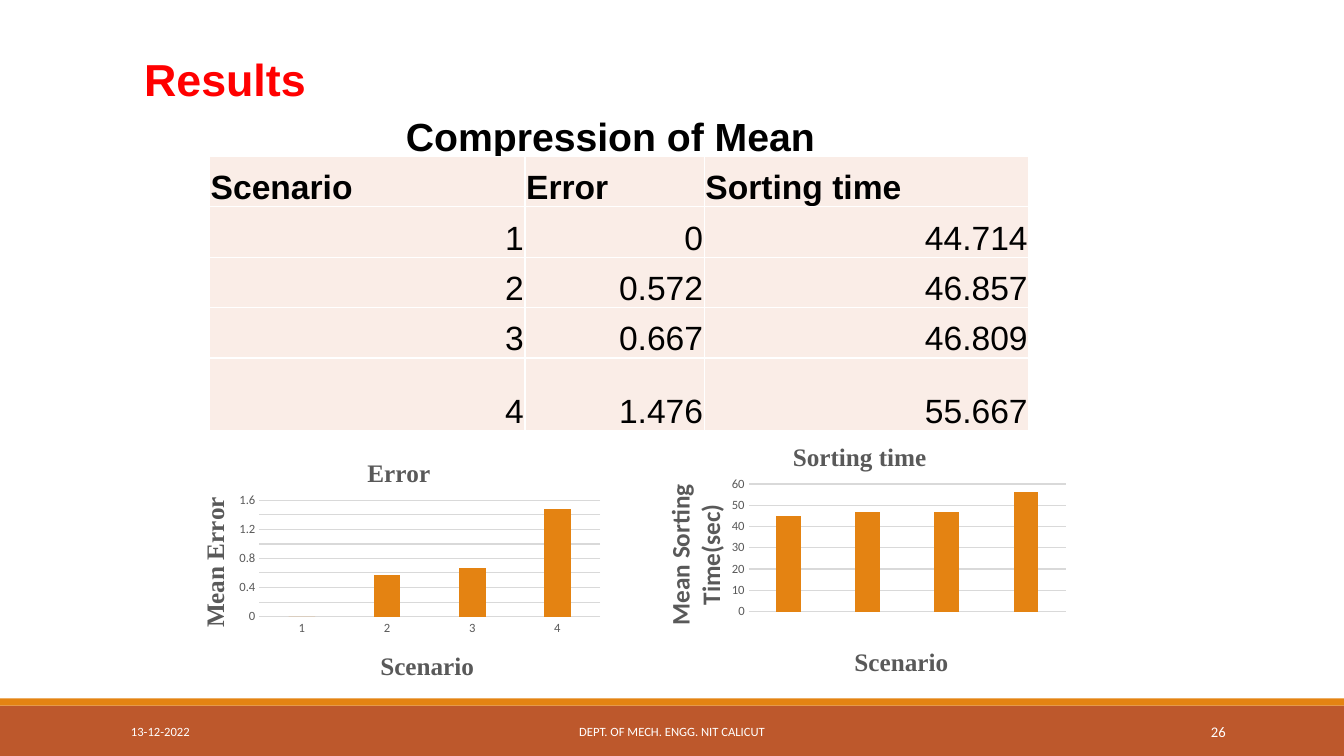
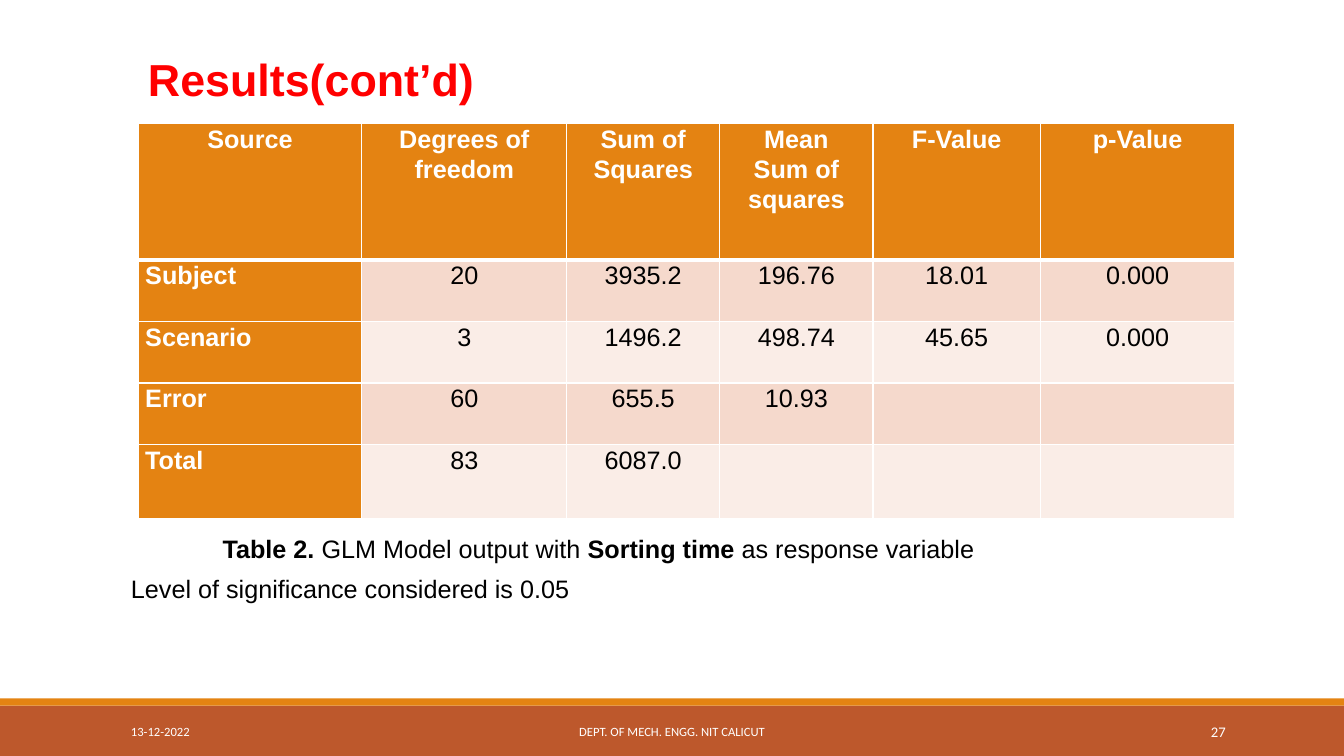
from dataclasses import dataclass
from typing import Any, NamedTuple, Optional

from lxml import etree
from pptx import Presentation
from pptx import util as u
from pptx.chart import data as cd
from pptx.dml import color as col
from pptx.enum import chart as ce
from pptx.enum import shapes, text
from pptx.oxml import ns

# Shared look
ORANGE, RUST = "E48312", "BD582C"
PALE, PEACH = "FAEDE7", "F5D9CC"
WHITE, BLACK, RED = "FFFFFF", "000000", "FF0000"
GREY, GRID = "595959", "D9D9D9"
ARIAL, CALIBRI, TIMES = "Arial", "Calibri", "Times New Roman"
WIDTH, HEIGHT = 33.87, 19.05
LEFT, CENTER, RIGHT, JUSTIFY = (text.PP_ALIGN.LEFT, text.PP_ALIGN.CENTER,
                                text.PP_ALIGN.RIGHT, text.PP_ALIGN.JUSTIFY)
TOP, MIDDLE, BOTTOM = (text.MSO_ANCHOR.TOP, text.MSO_ANCHOR.MIDDLE,
                       text.MSO_ANCHOR.BOTTOM)


class Box(NamedTuple):
    """Left, top, width and height in centimetres."""
    x: float
    y: float
    w: float
    h: float

    def cm(self) -> list:
        return [u.Cm(v) for v in self]


class Spot(NamedTuple):
    """Position (and size) as fractions of a chart."""
    x: float
    y: float
    w: Optional[float] = None
    h: Optional[float] = None


@dataclass
class Label:
    words: str
    spot: Spot
    font: str = TIMES


@dataclass
class BarChart:
    box: Box
    plot: Spot
    title: Label
    value_title: Label
    category_title: Label
    values: list[float]
    top: float
    step: float
    overlap: int = 0
    category_labels: bool = True


@dataclass
class Footer:
    box: Box
    words: str
    align: Any = LEFT
    size: float = 9


def rgb(code: str) -> col.RGBColor:
    return col.RGBColor.from_string(code)


# Text
def write(p, words: str, *, size: float = 18, font: str = ARIAL,
          color: str = BLACK, bold: bool = False, align=None) -> None:
    """Append words to a paragraph; a newline becomes a line break."""
    if align is not None:
        p.alignment = align
    for i, line in enumerate(words.split("\n")):
        if i:
            p.add_line_break()
        r = p.add_run()
        r.text = line
        r.font.size, r.font.name, r.font.bold = u.Pt(size), font, bold
        r.font.color.rgb = rgb(color)


def add_box(s, box: Box, anchor=TOP, wrap: bool = True):
    tf = s.shapes.add_textbox(*box.cm()).text_frame
    tf.word_wrap, tf.vertical_anchor = wrap, anchor
    return tf


def add_title(s, words: str, box: Box):
    tf = add_box(s, box)
    write(tf.paragraphs[0], words, size=32, color=RED, bold=True)
    return tf


# Slide base: bands and footers
def add_slide(prs, number: int):
    s = prs.slides.add_slide(prs.slide_layouts[6])
    for y, h, color in ((17.78, 1.27, RUST), (17.6, 0.18, ORANGE)):
        sp = s.shapes.add_shape(shapes.MSO_SHAPE.RECTANGLE,
                                *Box(0, y, WIDTH, h).cm())
        sp.shadow.inherit = False
        sp.fill.solid()
        sp.fill.fore_color.rgb = rgb(color)
        sp.line.fill.background()
    footers = (
        Footer(Box(3.05, 17.93, 6.86, 1.02), "13-12-2022"),
        Footer(Box(10.24, 17.93, 13.39, 1.02),
               "DEPT. OF MECH. ENGG. NIT CALICUT", CENTER),
        Footer(Box(27.51, 17.93, 3.63, 1.02), str(number), RIGHT, 10.5),
    )
    for f in footers:
        tf = add_box(s, f.box, MIDDLE)
        write(tf.paragraphs[0], f.words, size=f.size, font=CALIBRI,
              color=WHITE, align=f.align)
    return s


# Tables
def add_grid(s, x: float, y: float, cols: list[float], rows: list[float]):
    box = Box(x, y, sum(cols), sum(rows))
    tbl = s.shapes.add_table(len(rows), len(cols), *box.cm()).table
    tbl.first_row = tbl.horz_banding = False
    for column, w in zip(tbl.columns, cols):
        column.width = u.Cm(w)
    for row, h in zip(tbl.rows, rows):
        row.height = u.Cm(h)
    return tbl


def style_cell(cell, fill: str, anchor, side: float, top: float,
               above: float = 1, below: float = 1) -> None:
    """Set fill, margins and white borders; above and below are in points."""
    cell.vertical_anchor = anchor
    cell.margin_left = cell.margin_right = u.Cm(side)
    cell.margin_top, cell.margin_bottom = u.Cm(top), 0
    cell.fill.solid()
    cell.fill.fore_color.rgb = rgb(fill)
    pr = cell._tc.get_or_add_tcPr()
    edges = (("a:lnL", 1), ("a:lnR", 1), ("a:lnT", above), ("a:lnB", below))
    for i, (tag, width) in enumerate(edges):
        ln = etree.Element(ns.qn(tag), w=str(u.Pt(width)))
        solid = etree.SubElement(ln, ns.qn("a:solidFill"))
        etree.SubElement(solid, ns.qn("a:srgbClr"), val=WHITE)
        pr.insert(i, ln)


def add_mean_table(s) -> None:
    data = [("Scenario", "Error", "Sorting time"),
            ("1", "0", "44.714"),
            ("2", "0.572", "46.857"),
            ("3", "0.667", "46.809"),
            ("4", "1.476", "55.667")]
    tbl = add_grid(s, 5.28, 3.94, [7.95, 4.52, 8.18], [1.27] * 4 + [1.83])
    for i, row in enumerate(data):
        for j, words in enumerate(row):
            cell = tbl.cell(i, j)
            style_cell(cell, PALE, BOTTOM, 0.03, 0.03)
            write(cell.text_frame.paragraphs[0], words, size=24,
                  bold=i == 0, align=RIGHT if i else LEFT)


def add_glm_table(s) -> None:
    data = [("Source", "Degrees of freedom", "Sum of Squares",
             "Mean\nSum of squares", "F-Value", "p-Value"),
            ("Subject", "20", "3935.2", "196.76", "18.01", "0.000"),
            ("Scenario", "3", "1496.2", "498.74", "45.65", "0.000"),
            ("Error", "60", "655.5", "10.93", "", ""),
            ("Total", "83", "6087.0", "", "", "")]
    tbl = add_grid(s, 3.48, 3.12, [5.64, 5.16, 3.86, 3.86, 4.22, 4.9],
                   [3.43, 1.55, 1.55, 1.55, 1.88])
    for i, row in enumerate(data):
        for j, words in enumerate(row):
            head = i == 0 or j == 0
            cell = tbl.cell(i, j)
            style_cell(cell, ORANGE if head else PEACH if i % 2 else PALE,
                       TOP, 0.18, 0, above=3 if i == 1 else 1,
                       below=3 if i == 0 else 1)
            if not words:
                continue
            p = cell.text_frame.paragraphs[0]
            p.line_spacing, p.space_after = 1.07, u.Pt(8)
            write(p, words, color=WHITE if head else BLACK, bold=head,
                  align=JUSTIFY if i and j == 0 else CENTER)


# Charts
def place(parent, index: int, spot: Spot) -> None:
    """Give a chart part a manual layout."""
    for old in parent.findall(ns.qn("c:layout")):
        parent.remove(old)
    layout = etree.Element(ns.qn("c:layout"))
    manual = etree.SubElement(layout, ns.qn("c:manualLayout"))
    settings = {"xMode": "edge", "yMode": "edge", **spot._asdict()}
    if spot.w is not None:
        settings = {"layoutTarget": "inner", **settings}
    for tag, value in settings.items():
        if value is not None:
            etree.SubElement(manual, ns.qn(f"c:{tag}"), val=str(value))
    parent.insert(index, layout)


def set_label(title, label: Label) -> None:
    tf = title.text_frame
    for i, line in enumerate(label.words.split("\n")):
        p = tf.add_paragraph() if i else tf.paragraphs[0]
        write(p, line, font=label.font, color=GREY, bold=True)
    place(title._element, 1, label.spot)


def add_bar_chart(s, c: BarChart) -> None:
    data = cd.CategoryChartData()
    data.categories = [str(i + 1) for i in range(len(c.values))]
    data.add_series("Series 1", c.values)
    chart = s.shapes.add_chart(ce.XL_CHART_TYPE.COLUMN_CLUSTERED,
                               *c.box.cm(), data).chart
    chart.has_legend = False
    chart.font.size, chart.font.name = u.Pt(9), CALIBRI
    chart.font.color.rgb = rgb(GREY)
    plot = chart.plots[0]
    plot.gap_width, plot.overlap, plot.vary_by_categories = 219, c.overlap, False
    fill = plot.series[0].format.fill
    fill.solid()
    fill.fore_color.rgb = rgb(ORANGE)

    cat, val = chart.category_axis, chart.value_axis
    for axis in (cat, val):
        axis.major_tick_mark = axis.minor_tick_mark = ce.XL_TICK_MARK.NONE
    val.minimum_scale, val.maximum_scale, val.major_unit = 0, c.top, c.step
    val.format.line.fill.background()
    val.has_major_gridlines = True
    for line in (cat.format.line, val.major_gridlines.format.line):
        line.color.rgb, line.width = rgb(GRID), u.Pt(0.75)
    if not c.category_labels:
        cat.tick_label_position = ce.XL_TICK_LABEL_POSITION.NONE

    chart.has_title = True
    set_label(chart.chart_title, c.title)
    set_label(val.axis_title, c.value_title)
    set_label(cat.axis_title, c.category_title)
    place(chart._chartSpace.chart.plotArea, 0, c.plot)


CHARTS = (
    BarChart(Box(4.47, 10.95, 10.87, 6.65), Spot(0.19, 0.25, 0.79, 0.44),
             Label("Error", Spot(0.43, 0.07)),
             Label("Mean Error", Spot(0.04, 0.22)),
             Label("Scenario", Spot(0.46, 0.8)),
             [0, 0.57, 0.67, 1.48], 1.6, 0.2, overlap=-27),
    BarChart(Box(15.98, 10.52, 11.1, 6.99), Spot(0.26, 0.24, 0.72, 0.46),
             Label("Sorting time", Spot(0.35, 0.07)),
             Label("Mean Sorting\nTime(sec)", Spot(0.06, 0.23), CALIBRI),
             Label("Scenario", Spot(0.49, 0.81)),
             [45, 47, 47, 56], 60, 10, category_labels=False),
)


# Slides
def add_results(prs) -> None:
    s = add_slide(prs, 26)
    tf = add_title(s, "Results", Box(3.38, 1.17, 20.6, 4.27))
    p = tf.add_paragraph()
    p.space_before = u.Pt(5)
    p._p.get_or_add_pPr().set("marL", str(u.Cm(6.6)))
    write(p, "Compression of Mean", size=28, bold=True)
    for c in CHARTS:
        add_bar_chart(s, c)
    add_mean_table(s)


def add_results_continued(prs) -> None:
    s = add_slide(prs, 27)
    add_title(s, "Results(cont’d)", Box(3.48, 1.17, 16.94, 1.63))
    add_glm_table(s)
    p = add_box(s, Box(5.36, 13.31, 25.17, 1.02)).paragraphs[0]
    caption = ("Table 2. ", "GLM Model output with ", "Sorting time ",
               "as response variable")
    for i, words in enumerate(caption):
        write(p, words, bold=i % 2 == 0)
    tf = add_box(s, Box(3.05, 14.33, 11.66, 1.02), wrap=False)
    write(tf.paragraphs[0], "Level of significance considered is 0.05")


def main() -> None:
    prs = Presentation()
    prs.slide_width, prs.slide_height = u.Cm(WIDTH), u.Cm(HEIGHT)
    add_results(prs)
    add_results_continued(prs)
    prs.save("out.pptx")


if __name__ == "__main__":
    main()
